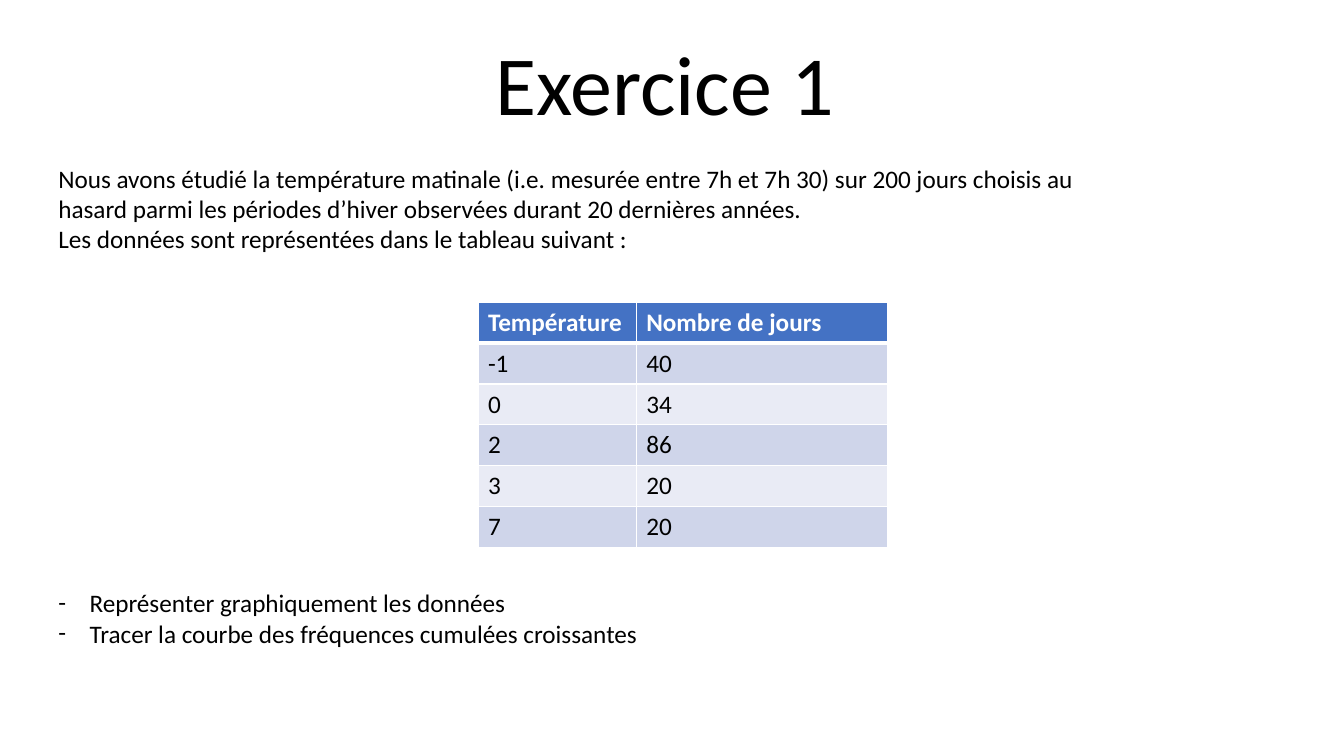
"""Build the exercise slide on morning temperatures."""
from dataclasses import dataclass

from lxml import etree
from pptx import Presentation
from pptx.dml.color import RGBColor
from pptx.enum.text import MSO_ANCHOR, PP_ALIGN
from pptx.oxml.ns import qn
from pptx.util import Inches, Pt

BOTTOM = MSO_ANCHOR.BOTTOM
CENTER = PP_ALIGN.CENTER

TITLE = "Exercice 1"
INTRO = [
    "Nous avons étudié la température matinale (i.e. mesurée entre 7h et 7h 30) sur 200 jours "
    "choisis au hasard parmi les périodes d’hiver observées durant 20 dernières années.",
    "Les données sont représentées dans le tableau suivant :",
]
TASKS = [
    "Représenter graphiquement les données",
    "Tracer la courbe des fréquences cumulées croissantes",
]
HEADER = ("Température", "Nombre de jours")
DAYS_BY_TEMPERATURE = [(-1, 40), (0, 34), (2, 86), (3, 20), (7, 20)]

SLIDE_SIZE = (13.33, 7.5)
TITLE_BOX = (1.59, 0.03, 10, 1.35)
INTRO_BOX = (0.48, 1.57, 10.98, 1.01)
TASKS_BOX = (0.48, 5.78, 10.98, 0.71)
TABLE_ORIGIN = (4.74, 3)
COLUMN_WIDTHS = (1.57, 2.49)
ROW_HEIGHT = 0.405
BULLET_INDENT = 0.31


@dataclass(frozen=True)
class Theme:
    font: str = "Calibri"
    title_size: int = 60
    body_size: int = 18
    text: str = "000000"
    light: str = "FFFFFF"
    header: str = "4472C4"
    bands: tuple = ("CFD5EA", "E9EBF5")
    rule: int = 1
    header_rule: int = 3


THEME = Theme()


def add_text(paragraph, text, size=THEME.body_size, color=THEME.text, bold=False):
    run = paragraph.add_run()
    run.text = text
    run.font.name = THEME.font
    run.font.size = Pt(size)
    run.font.bold = bold
    run.font.color.rgb = RGBColor.from_string(color)


def add_dash(paragraph):
    properties = paragraph._p.get_or_add_pPr()
    properties.set("marL", str(Inches(BULLET_INDENT)))
    properties.set("indent", str(-Inches(BULLET_INDENT)))
    etree.SubElement(properties, qn("a:buFont"), typeface=THEME.font)
    etree.SubElement(properties, qn("a:buChar"), char="-")


def add_title(slide):
    title = slide.shapes.title
    title.left, title.top, title.width, title.height = map(Inches, TITLE_BOX)
    title.text_frame.vertical_anchor = BOTTOM
    paragraph = title.text_frame.paragraphs[0]
    paragraph.alignment = CENTER
    paragraph.line_spacing = 0.9
    add_text(paragraph, TITLE, THEME.title_size)


def add_text_box(slide, box, lines, dashed=False):
    frame = slide.shapes.add_textbox(*map(Inches, box)).text_frame
    frame.word_wrap = True
    for index, line in enumerate(lines):
        paragraph = frame.add_paragraph() if index else frame.paragraphs[0]
        if dashed:
            add_dash(paragraph)
        add_text(paragraph, line)


def set_borders(cell, top, bottom):
    properties = cell._tc.get_or_add_tcPr()
    widths = {"lnL": THEME.rule, "lnR": THEME.rule, "lnT": top, "lnB": bottom}
    for position, (side, width) in enumerate(widths.items()):
        line = etree.Element(qn(f"a:{side}"), w=str(Pt(width)))
        fill = etree.SubElement(line, qn("a:solidFill"))
        etree.SubElement(fill, qn("a:srgbClr"), val=THEME.light)
        properties.insert(position, line)


def add_data_table(slide):
    rows = [HEADER, *DAYS_BY_TEMPERATURE]
    size = (sum(COLUMN_WIDTHS), ROW_HEIGHT * len(rows))
    table = slide.shapes.add_table(
        len(rows), len(HEADER), *map(Inches, TABLE_ORIGIN + size)
    ).table
    for column, width in zip(table.columns, COLUMN_WIDTHS):
        column.width = Inches(width)
    for row_index, values in enumerate(rows):
        is_header = row_index == 0
        fill = THEME.header if is_header else THEME.bands[(row_index - 1) % 2]
        color = THEME.light if is_header else THEME.text
        top = THEME.header_rule if row_index == 1 else THEME.rule
        bottom = THEME.header_rule if is_header else THEME.rule
        for column_index, value in enumerate(values):
            cell = table.cell(row_index, column_index)
            cell.fill.solid()
            cell.fill.fore_color.rgb = RGBColor.from_string(fill)
            set_borders(cell, top, bottom)
            add_text(cell.text_frame.paragraphs[0], str(value), color=color, bold=is_header)


def main():
    presentation = Presentation()
    presentation.slide_width, presentation.slide_height = map(Inches, SLIDE_SIZE)
    slide = presentation.slides.add_slide(presentation.slide_layouts.get_by_name("Title Only"))
    add_title(slide)
    add_text_box(slide, INTRO_BOX, INTRO)
    add_data_table(slide)
    add_text_box(slide, TASKS_BOX, TASKS, dashed=True)
    presentation.save("out.pptx")


if __name__ == "__main__":
    main()
